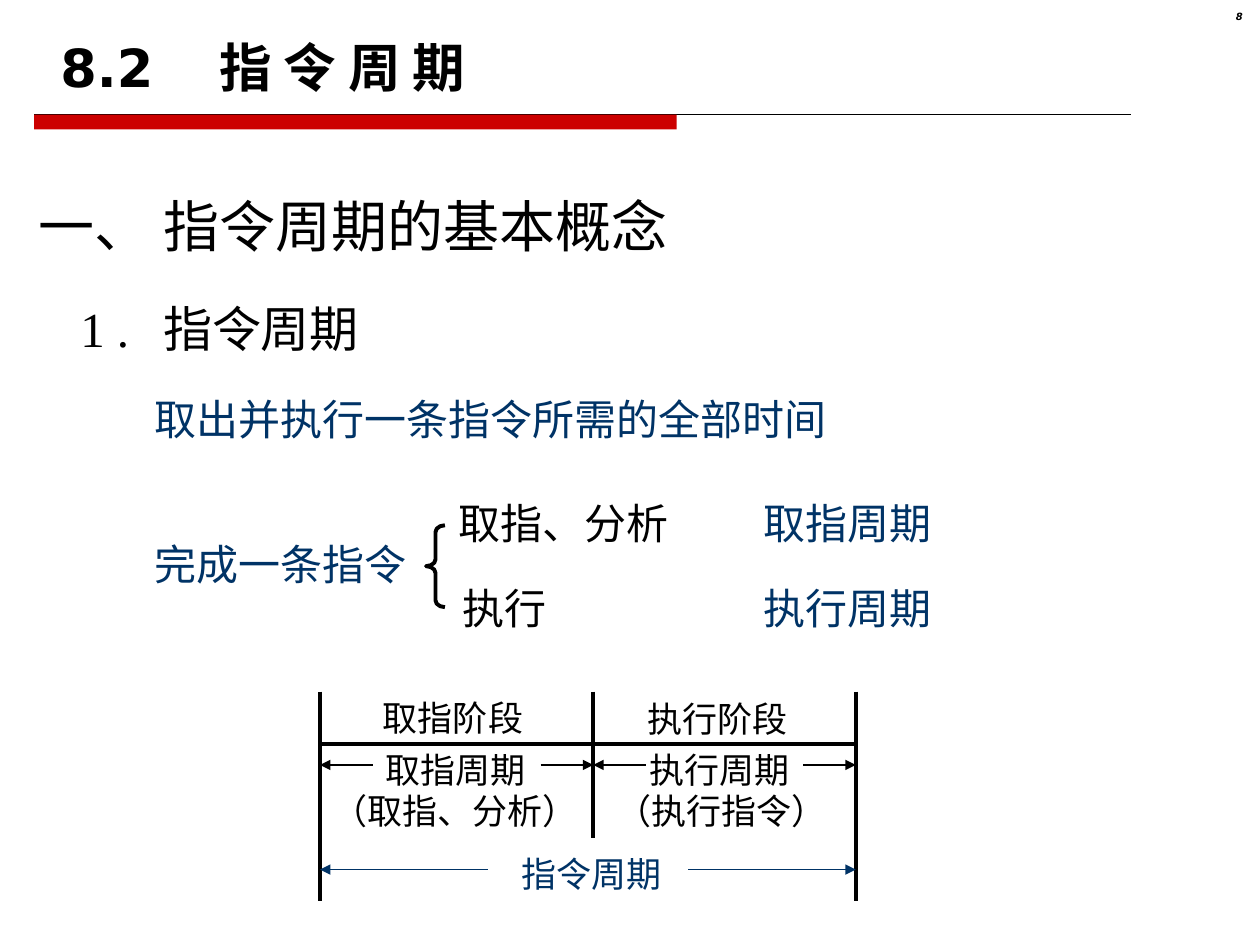
from pptx import Presentation
from pptx.util import Cm, Pt
from pptx.dml.color import RGBColor
from pptx.enum.shapes import MSO_CONNECTOR, MSO_SHAPE
from pptx.enum.text import PP_ALIGN
from lxml.etree import SubElement
from pptx.oxml.ns import qn

BLACK = RGBColor(0x00, 0x00, 0x00)
NAVY = RGBColor(0x00, 0x33, 0x66)
RED = RGBColor(0xCC, 0x00, 0x00)
HEADING_FONT, BODY_FONT = "DejaVu Sans", "Times New Roman"

# Content, lengths in cm: text, left, top, width, height, size, colour
TITLE = ("8.2\t指 令 周 期", 0.97, 0.58, 21.59, 3.18, 30, BLACK)
PAGE_NUMBER = ("8", 23.8, 0.13, 1.5, 0.58, 5.7, BLACK)
SUBHEADING = ("1 .\t指令周期", 1.37, 5.89, 15.88, 1.45, 28, BLACK)
BODY = [
    ("一、 指令周期的基本概念", 0.53, 3.73, 15.88, 1.63, 32, BLACK),
    ("取出并执行一条指令所需的全部时间", 2.87, 7.8, 15.88, 1.27, 24, NAVY),
    ("完成一条指令", 2.87, 10.74, 7.62, 1.27, 24, NAVY),
    ("取指、分析", 8.99, 9.91, 5.51, 1.27, 24, BLACK),
    ("执行", 9.07, 11.61, 4.37, 1.27, 24, BLACK),
    ("取指周期", 15.14, 9.91, 4.65, 1.27, 24, NAVY),
    ("执行周期", 15.14, 11.61, 5.08, 1.27, 24, NAVY),
]
# Timeline labels: text, left, top, width, colour
TIMELINE_LABELS = [
    ("取指阶段", 7.47, 13.92, 3.33, BLACK),
    ("执行阶段", 12.8, 13.94, 3.33, BLACK),
    ("取指周期", 7.52, 14.96, 3.33, BLACK),
    ("执行周期", 12.85, 14.96, 3.33, BLACK),
    ("（取指、分析）", 6.45, 15.8, 5.46, BLACK),
    ("（执行指令）", 12.17, 15.8, 4.75, BLACK),
    ("指令周期", 10.26, 17.07, 3.33, NAVY),
]
START, MIDDLE, END = 6.45, 11.96, 17.25
TIMELINE_TOP, AXIS = 13.94, 14.99
BOUNDARIES = [(START, 18.16), (MIDDLE, 16.89), (END, 18.16)]
# Spans: start, end, height on the slide, arrow length, colour
SPANS = [
    (START, MIDDLE, 15.42, 1.06, BLACK),
    (MIDDLE, END, 15.42, 1.06, BLACK),
    (START, END, 17.53, 3.38, NAVY),
]

presentation = Presentation()
presentation.slide_width, presentation.slide_height = Cm(25.4), Cm(19.05)
slide = presentation.slides.add_slide(presentation.slide_layouts[6])


def add_text(text, left, top, width, height, size, color, font_name=BODY_FONT,
             bold=False, italic=False, wrap=True, tab=None):
    box = slide.shapes.add_textbox(Cm(left), Cm(top), Cm(width), Cm(height))
    box.text_frame.word_wrap = wrap
    paragraph = box.text_frame.paragraphs[0]
    if tab:
        tab_list = SubElement(paragraph._p.get_or_add_pPr(), qn("a:tabLst"))
        SubElement(tab_list, qn("a:tab"), pos=str(Cm(tab)), algn="l")
    run = paragraph.add_run()
    run.text = text
    font = run.font
    font.name, font.size, font.color.rgb = font_name, Pt(size), color
    font.bold, font.italic = bold, italic
    return paragraph


def add_line(x1, y1, x2, y2, color=BLACK, width=2.25, arrow=False):
    connector = slide.shapes.add_connector(
        MSO_CONNECTOR.STRAIGHT, Cm(x1), Cm(y1), Cm(x2), Cm(y2))
    connector.line.color.rgb = color
    connector.line.width = Pt(width)
    if arrow:
        SubElement(connector.line._get_or_add_ln(), qn("a:tailEnd"), type="triangle")
    SubElement(connector._element.spPr, qn("a:effectLst"))


# Title rule: thin line with a red bar at its left
add_line(0.69, 2.31, 22.8, 2.31, width=0.75)
bar = slide.shapes.add_shape(MSO_SHAPE.RECTANGLE, Cm(0.69), Cm(2.31), Cm(12.95), Cm(0.3))
bar.shadow.inherit = False
bar.fill.solid()
bar.fill.fore_color.rgb = RED
bar.line.fill.background()

# Headings and body text
number = add_text(*PAGE_NUMBER, font_name=HEADING_FONT, bold=True, italic=True)
number.alignment = PP_ALIGN.RIGHT
number.line_spacing = 0.8
add_text(*TITLE, font_name=HEADING_FONT, bold=True, tab=3.2)
add_text(*SUBHEADING, tab=1.67)
for item in BODY:
    add_text(*item)

# Brace joining the two steps of an instruction
brace = slide.shapes.add_shape(MSO_SHAPE.LEFT_BRACE, Cm(8.59), Cm(10.59), Cm(0.38), Cm(1.65))
brace.shadow.inherit = False
brace.adjustments[0] = 0.36
brace.fill.background()
brace.line.color.rgb = BLACK
brace.line.width = Pt(2.25)

# Timeline: labels, axis, boundaries and outward arrows
for text, left, top, width, color in TIMELINE_LABELS:
    add_text(text, left, top, width, 1.12, 20, color, wrap=False)
add_line(START, AXIS, END, AXIS)
for x, bottom in BOUNDARIES:
    add_line(x, TIMELINE_TOP, x, bottom)
for left, right, y, length, color in SPANS:
    add_line(left + length, y, left, y, color, 0.75, arrow=True)
    add_line(right - length, y, right, y, color, 0.75, arrow=True)

presentation.save("out.pptx")
